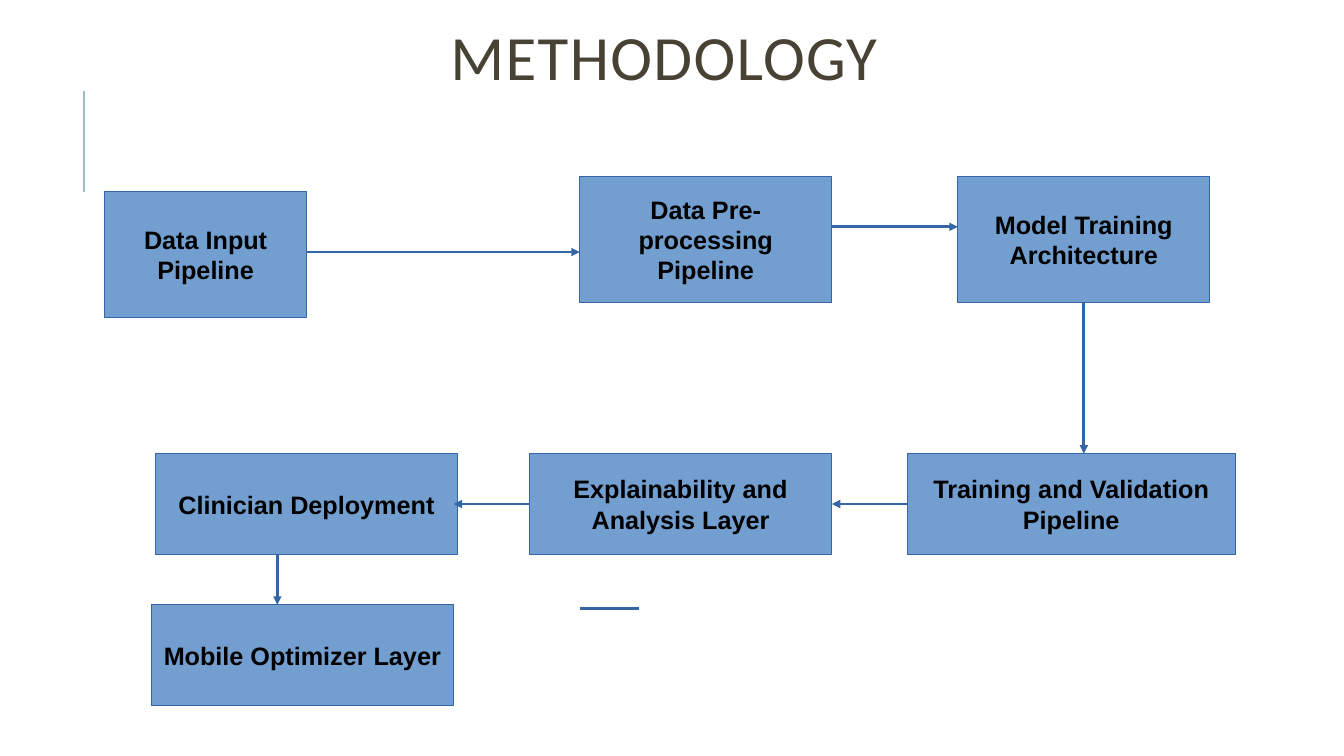
import dataclasses

import pptx
import pptx.dml.color
import pptx.enum.shapes
import pptx.enum.text
import pptx.oxml.ns
import pptx.util
from lxml import etree

PX = 9144  # EMU in one px, 100 px to the inch
MIDDLE = pptx.enum.text.MSO_ANCHOR.MIDDLE
CENTER = pptx.enum.text.PP_ALIGN.CENTER


@dataclasses.dataclass(frozen=True)
class Theme:
    title_font: str = "Calibri"
    step_font: str = "Arial"
    title_size: int = 45
    step_size: int = 18
    title_color: str = "474233"
    step_text: str = "000000"
    step_fill: str = "729FCF"
    outline: str = "3465A4"
    accent: str = "9CBEBD"


def rgb(color):
    return pptx.dml.color.RGBColor.from_string(color)


def apply(target, values):
    for name, value in values.items():
        setattr(target, name, value)


class FlowSlide:
    def __init__(self, slide, theme):
        self.slide = slide
        self.theme = theme

    def label(self, frame, text, font, size, color, bold=False, spacing=None):
        apply(frame, {"word_wrap": True, "vertical_anchor": MIDDLE,
                      "auto_size": pptx.enum.text.MSO_AUTO_SIZE.NONE})
        paragraph = frame.paragraphs[0]
        apply(paragraph, {"alignment": CENTER, "line_spacing": spacing})
        run = paragraph.add_run()
        run.text = text
        apply(run.font, {"name": font, "size": pptx.util.Pt(size), "bold": bold})
        run.font.color.rgb = rgb(color)

    def title(self, text, left, top, width, height):
        heading = self.slide.shapes.title
        apply(heading, {"left": left * PX, "top": top * PX,
                        "width": width * PX, "height": height * PX})
        t = self.theme
        self.label(heading.text_frame, text, t.title_font, t.title_size,
                   t.title_color, spacing=0.8)
        # Letter spacing of 1 pt
        for properties in heading.element.iter(pptx.oxml.ns.qn("a:rPr")):
            properties.set("spc", "100")

    def step(self, text, left, top, width, height):
        t = self.theme
        box = self.slide.shapes.add_shape(
            pptx.enum.shapes.MSO_SHAPE.RECTANGLE,
            left * PX, top * PX, width * PX, height * PX)
        box.shadow.inherit = False
        box.fill.solid()
        box.fill.fore_color.rgb = rgb(t.step_fill)
        box.line.color.rgb = rgb(t.outline)
        box.line.width = 0
        self.label(box.text_frame, text, t.step_font, t.step_size,
                   t.step_text, bold=True)

    def line(self, x1, y1, x2, y2, color=None, width=0, arrow=False):
        link = self.slide.shapes.add_connector(
            pptx.enum.shapes.MSO_CONNECTOR.STRAIGHT,
            x1 * PX, y1 * PX, x2 * PX, y2 * PX)
        link.line.color.rgb = rgb(color or self.theme.outline)
        link.line.width = pptx.util.Pt(width)
        qn = pptx.oxml.ns.qn
        properties = link.element.spPr
        if arrow:
            etree.SubElement(properties.find(qn("a:ln")), qn("a:tailEnd"),
                             type="triangle")
        etree.SubElement(properties, qn("a:effectLst"))


# Left, top, width, height in px
STEPS = {
    "Data Input Pipeline": (104, 190, 200, 125),
    "Data Pre-processing Pipeline": (575, 175, 250, 125),
    "Model Training Architecture": (950, 175, 250, 125),
    "Training and Validation Pipeline": (900, 450, 325, 100),
    "Clinician Deployment": (154, 450, 300, 100),
    "Mobile Optimizer Layer": (150, 600, 300, 100),
    "Explainability and Analysis Layer": (525, 450, 300, 100),
}

# Start and end points in px
ARROWS = [
    (304, 250, 575, 250),
    (825, 225, 950, 225),
    (1075, 300, 1075, 450),
    (900, 500, 825, 500),
    (525, 500, 450, 500),
    (275, 550, 275, 600),
]


def main():
    deck = pptx.Presentation()
    apply(deck, {"slide_width": 1333 * PX, "slide_height": 750 * PX})
    theme = Theme()
    flow = FlowSlide(deck.slides.add_slide(deck.slide_layouts[5]), theme)

    # Heading and accent rule
    flow.line(83, 190, 83, 90, color=theme.accent, width=1.5)
    flow.title("METHODOLOGY", 217, 42, 883, 40)

    # Pipeline steps
    for text, place in STEPS.items():
        flow.step(text, *place)

    # Flow between the steps, then the loose rule
    for ends in ARROWS:
        flow.line(*ends, arrow=True)
    flow.line(575, 604, 634, 604)

    deck.save("out.pptx")


if __name__ == "__main__":
    main()
